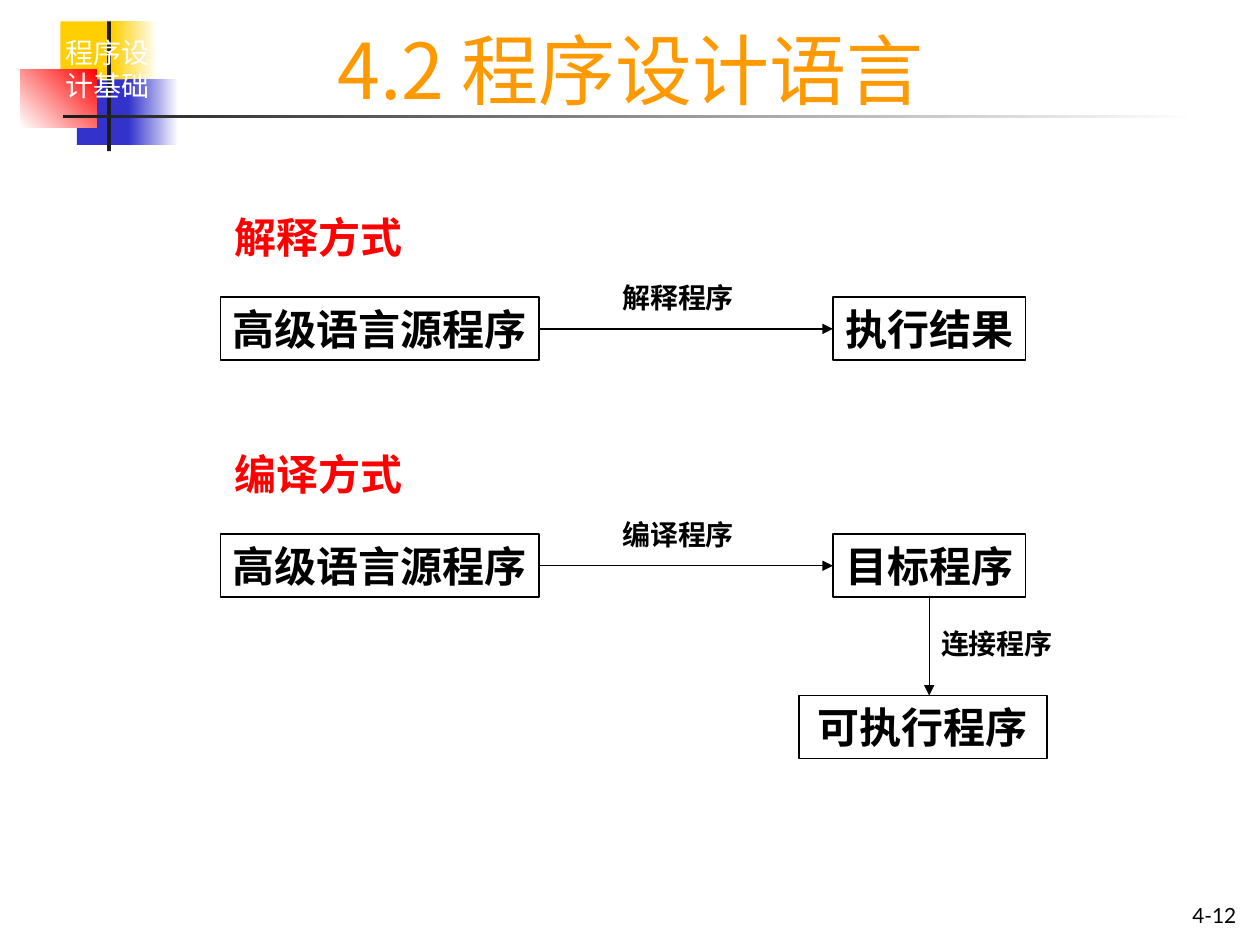
import pptx
import pptx.dml.color
import pptx.enum.shapes
import pptx.enum.text
import pptx.oxml
import pptx.oxml.ns
import pptx.util

deck = pptx.Presentation()
deck.slide_width = pptx.util.Inches(10)
deck.slide_height = pptx.util.Inches(7.5)
page = deck.slides.add_slide(deck.slide_layouts[6])
unit = deck.slide_width / 100
noto = "Noto Sans CJK SC"
black, red = "000000", "FF0000"
left, mid, right = (pptx.enum.text.PP_ALIGN.LEFT, pptx.enum.text.PP_ALIGN.CENTER,
                    pptx.enum.text.PP_ALIGN.RIGHT)
rect = pptx.enum.shapes.MSO_SHAPE.RECTANGLE
qn = pptx.oxml.ns.qn


def tint(code):
    return pptx.dml.color.RGBColor.from_string(code)


def put(area, words, size, hue=black, bold=True, font=noto, align=left,
        wrap=False, frame=False):
    spot = [round(n * unit) for n in area]
    if frame:
        box = page.shapes.add_shape(rect, *spot)
        box.shadow.inherit = False
        box.fill.background()
        box.line.color.rgb = tint(black)
        box.line.width = pptx.util.Pt(1)
    else:
        box = page.shapes.add_textbox(*spot)
    body = box.text_frame
    body.word_wrap = wrap
    body.vertical_anchor = pptx.enum.text.MSO_ANCHOR.TOP
    para = body.paragraphs[0]
    para.alignment = align
    run = para.add_run()
    run.text = words
    run.font.size = pptx.util.Pt(size)
    run.font.bold = bold
    run.font.name = font
    run.font.color.rgb = tint(hue)
    run.font._element.get_or_add_latin().addnext(
        pptx.oxml.parse_xml(
            '<a:ea xmlns:a="http://schemas.openxmlformats.org/drawingml/2006/main"'
            f' typeface="{font}"/>'))
    return box


gold, blue, dark, white = "FFCF01", "3333CC", "1C1C1C", "FFFFFF"
for area, start, end, turn in (
    ((4.8, 1.7, 4.8, 5.2), gold, gold, 0),
    ((8.9, 1.7, 3.6, 5.2), gold, white, 0),
    ((6.1, 6.3, 4.6, 5.2), blue, blue, 0),
    ((10.2, 6.3, 4, 5.2), blue, white, 0),
    ((1.6, 5.5, 6.1, 4.6), white, red, 45),
    ((8.5, 1.7, 0.3, 10.3), dark, dark, 0),
    ((5, 9.1, 90, 0.3), dark, white, 0),
):
    block = page.shapes.add_shape(rect, *[round(n * unit) for n in area])
    block.shadow.inherit = False
    block.line.fill.background()
    if start == end:
        block.fill.solid()
        block.fill.fore_color.rgb = tint(start)
    else:
        block.fill.gradient()
        block.fill.gradient_angle = turn
        for stop, code, place in zip(block.fill.gradient_stops, (start, end), (0, 1)):
            stop.color.rgb = tint(code)
            stop.position = place

badge = put((4.1, 2.1, 8.9, 6.6), "程序设计基础", 16, white, False, "Lato", mid, True)
badge.text_frame.margin_top = round(0.7 * unit)
badge.text_frame.paragraphs[0].space_before = pptx.util.Pt(4)

foot = put((87, 70.8, 12.1, 3.3), "4-12", 11.9, black, False, "Lato", right, True)
title = put((14.6, 0.8, 70.9, 8.3), "4.2 程序设计语言", 44, "FF9900", False, noto, mid, True)
title.text_frame.margin_top = title.text_frame.margin_bottom = 0
for box in (foot, title):
    box.text_frame.vertical_anchor = pptx.enum.text.MSO_ANCHOR.BOTTOM

links = []
for top, head, tool, goal, width in (
    (16.3, "解释方式", "解释程序", "执行结果", 1),
    (35.1, "编译方式", "编译程序", "目标程序", 0.75),
):
    row = top + 7.3
    put((17.6, top, 15.3, 5), head, 24, red)
    code = put((17.5, row, 25.3, 5), "高级语言源程序", 24, frame=True)
    put((48.4, top + 5.5, 10.9, 3.6), tool, 16)
    goal = put((66.1, row, 15.3, 5), goal, 24, frame=True)
    links.append((code, 3, goal, 1, width))

put((63.4, 55.2, 19.7, 5), "可执行程序", 24, align=mid, wrap=True, frame=True)
put((73.7, 49.2, 10.9, 3.6), "连接程序", 16)
links.append((goal, 2, None, 0, 0.75))

for begin, side, end, face, width in links:
    foot = begin.left + begin.width // 2
    line = page.shapes.add_connector(
        pptx.enum.shapes.MSO_CONNECTOR.STRAIGHT, 0, 0, foot, round(55.2 * unit))
    line.begin_connect(begin, side)
    if end is not None:
        line.end_connect(end, face)
    line.line.color.rgb = tint(black)
    line.line.width = pptx.util.Pt(width)
    tip = line.line._get_or_add_ln()
    tip.append(tip.makeelement(qn("a:tailEnd"), {"type": "triangle"}))
    look = tip.getparent()
    look.append(look.makeelement(qn("a:effectLst"), {}))

deck.save("out.pptx")
